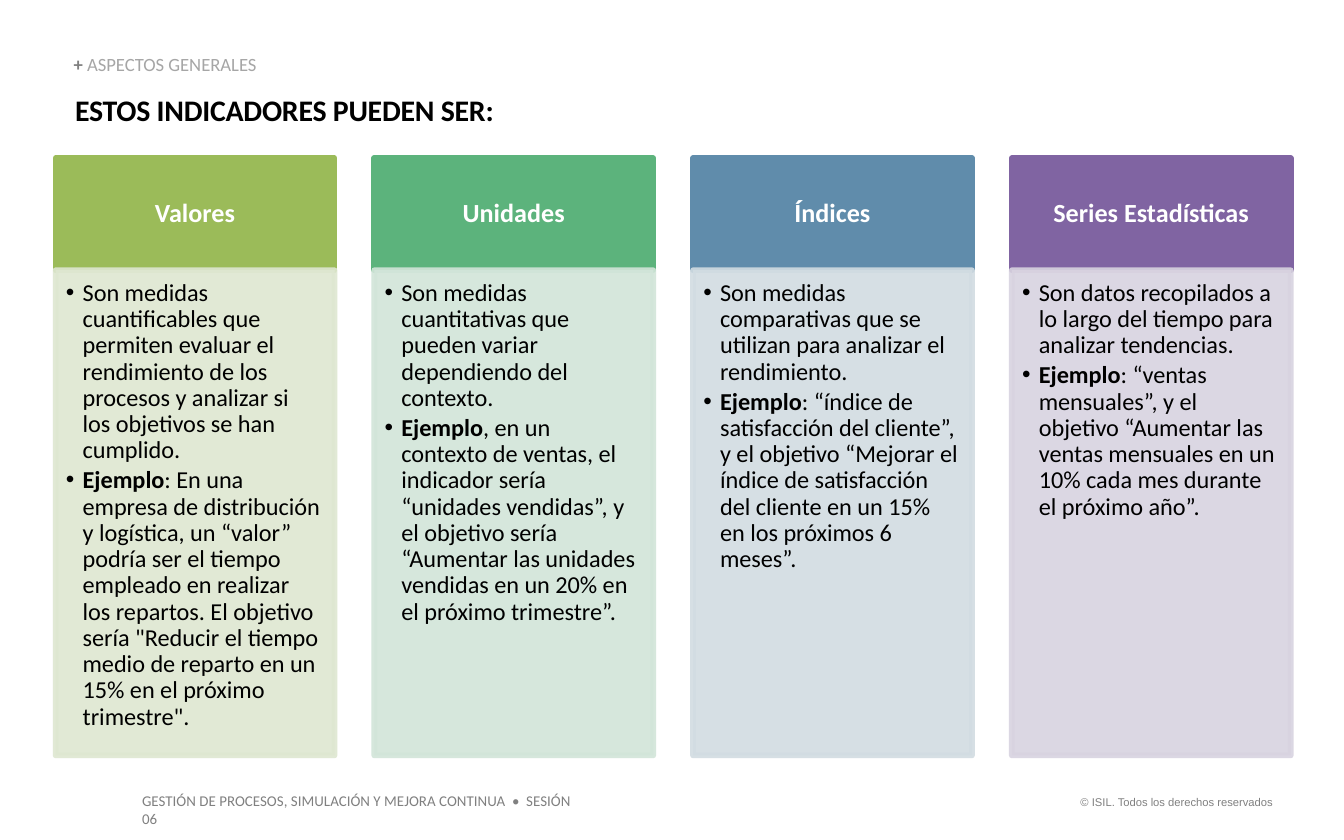
from pptx import Presentation
from pptx.dml.color import RGBColor
from pptx.enum.shapes import MSO_SHAPE
from pptx.enum.text import MSO_ANCHOR as Anchor, MSO_AUTO_SIZE as AutoSize, PP_ALIGN as Align
from pptx.oxml.ns import qn
from pptx.util import Pt
from lxml.etree import SubElement

COLORS = {
    "black": "000000", "white": "FFFFFF", "gray": "808080", "light_gray": "A6A6A6",
    "green": "9BBB59", "green_tint": "DEE7D1",
    "teal": "5CB37C", "teal_tint": "D2E5D9",
    "blue": "608CAB", "blue_tint": "D2DCE2",
    "purple": "8064A2", "purple_tint": "D8D3E0",
}

INDICATORS = [
    ("Valores", "green",
     "Son medidas cuantificables que permiten evaluar el rendimiento de los procesos "
     "y analizar si los objetivos se han cumplido.",
     ": En una empresa de distribución y logística, un “valor” podría ser el tiempo empleado "
     "en realizar los repartos. El objetivo sería \"Reducir el tiempo medio de reparto "
     "en un 15% en el próximo trimestre\"."),
    ("Unidades", "teal",
     "Son medidas cuantitativas que pueden variar dependiendo del contexto.",
     ", en un contexto de ventas, el indicador sería “unidades vendidas”, y el objetivo sería "
     "“Aumentar las unidades vendidas en un 20% en el próximo trimestre”."),
    ("Índices", "blue",
     "Son medidas comparativas que se utilizan para analizar el rendimiento.",
     ": “índice de satisfacción del cliente”, y el objetivo “Mejorar el índice de satisfacción "
     "del cliente en un 15% en los próximos 6 meses”."),
    ("Series Estadísticas", "purple",
     "Son datos recopilados a lo largo del tiempo para analizar tendencias.",
     ": “ventas mensuales”, y el objetivo “Aumentar las ventas mensuales en un 10% cada mes "
     "durante el próximo año”."),
]


def rgb(name):
    return RGBColor.from_string(COLORS[name])


def write(shape, paragraphs, *, size, color="black", font="Calibri", align=Align.LEFT,
          anchor=Anchor.TOP, insets=(0, 0, 0, 0), spacing=1.0, after=0,
          bullet=None, indent=0, wrap=True, tracking=0):
    frame = shape.text_frame
    frame.auto_size = AutoSize.NONE
    frame.word_wrap = wrap
    frame.vertical_anchor = anchor
    (frame.margin_left, frame.margin_top,
     frame.margin_right, frame.margin_bottom) = map(Pt, insets)
    for number, runs in enumerate(paragraphs):
        paragraph = frame.add_paragraph() if number else frame.paragraphs[0]
        if bullet:
            properties = paragraph._p.get_or_add_pPr()
            properties.set("marL", str(Pt(indent)))
            properties.set("indent", str(-Pt(indent)))
            SubElement(properties, qn("a:buFont"), typeface="Arial")
            SubElement(properties, qn("a:buChar"), char=bullet)
        paragraph.alignment = align
        paragraph.line_spacing = spacing
        paragraph.space_before = Pt(0)
        paragraph.space_after = Pt(after)
        for words, bold, *tone in runs:
            run = paragraph.add_run()
            run.text = words
            run.font.name = font
            run.font.size = Pt(size)
            run.font.bold = bold
            run.font.color.rgb = rgb(tone[0] if tone else color)
            if tracking:
                run.font._element.set("spc", str(round(tracking * 100)))


def place(shape, box):
    shape.left, shape.top, shape.width, shape.height = map(Pt, box)


def paint(shape, color, opacity=100):
    shape.fill.solid()
    shape.fill.fore_color.rgb = rgb(color)
    shape.line.color.rgb = rgb(color)
    shape.line.width = Pt(3)
    if opacity < 100:
        for tone in shape._element.spPr.iter(qn("a:srgbClr")):
            SubElement(tone, qn("a:alpha"), val=str(opacity * 1000))


def add_heading(slide, box):
    left, top, width, height = box
    section = slide.shapes.add_textbox(Pt(left), Pt(top), Pt(191.5), Pt(11))
    write(section, [[("+ ", True), ("ASPECTOS GENERALES", False, "light_gray")]],
          size=10, color="gray", anchor=Anchor.BOTTOM, spacing=0.9)
    title = slide.shapes.title
    place(title, (left, top + height - 19.5, width, 19.5))
    write(title, [[("ESTOS INDICADORES PUEDEN SER:", True)]], size=16,
          insets=(0.75, 0, 0, 0), tracking=-0.1)


def add_indicator(slide, panel, box, name, color, definition, example):
    left, top, width, height = box
    header_height = 60
    header = slide.shapes.add_shape(MSO_SHAPE.RECTANGLE, Pt(left), Pt(top),
                                    Pt(width), Pt(header_height))
    header.shadow.inherit = False
    paint(header, color)
    write(header, [[(name, True)]], size=14, color="white", align=Align.CENTER,
          anchor=Anchor.MIDDLE, insets=(8, 4.5, 8, 4.5), spacing=0.9)

    slide.shapes._spTree.append(panel._element)
    place(panel, (left, top + header_height, width, height - header_height))
    paint(panel, color + "_tint", opacity=90)
    write(panel, [[(definition, False)], [("Ejemplo", True), (example, False)]],
          size=13, insets=(5.5, 5.5, 7.25, 8), spacing=0.9, after=2,
          bullet="•", indent=9)


def add_indicators(slide, box):
    left, top, width, height = box
    column_width = 149.5
    pitch = (width - column_width) / (len(INDICATORS) - 1)
    panels = [holder for holder in slide.placeholders if holder.placeholder_format.idx in range(1, 5)]
    for number, (panel, indicator) in enumerate(zip(panels, INDICATORS)):
        add_indicator(slide, panel, (left + number * pitch, top, column_width, height), *indicator)


def add_footer(slide, box):
    left, top, width, height = box
    course = slide.shapes.add_textbox(Pt(left), Pt(top), Pt(254), Pt(height))
    write(course, [[("GESTIÓN DE PROCESOS, SIMULACIÓN Y MEJORA CONTINUA  •  SESIÓN 06", False)]],
          size=8, color="gray", insets=(7.2, 3.6, 7.2, 3.6))
    rights = slide.shapes.add_textbox(Pt(left + width - 121.5), Pt(top + 2), Pt(121.5), Pt(14.5))
    write(rights, [[("© ISIL. Todos los derechos reservados", False)]], size=6, color="gray",
          font="Arial", align=Align.RIGHT, insets=(7.2, 3.6, 7.2, 3.6), wrap=False)


def main():
    deck = Presentation()
    deck.slide_width, deck.slide_height = Pt(720), Pt(450)
    slide = deck.slides.add_slide(deck.slide_layouts.get_by_name("Comparison"))
    add_heading(slide, (39.5, 29.5, 633.5, 39))
    add_indicators(slide, (29.75, 84.75, 661.75, 320))
    add_footer(slide, (69, 420.5, 620, 17))
    deck.save("out.pptx")


if __name__ == "__main__":
    main()
